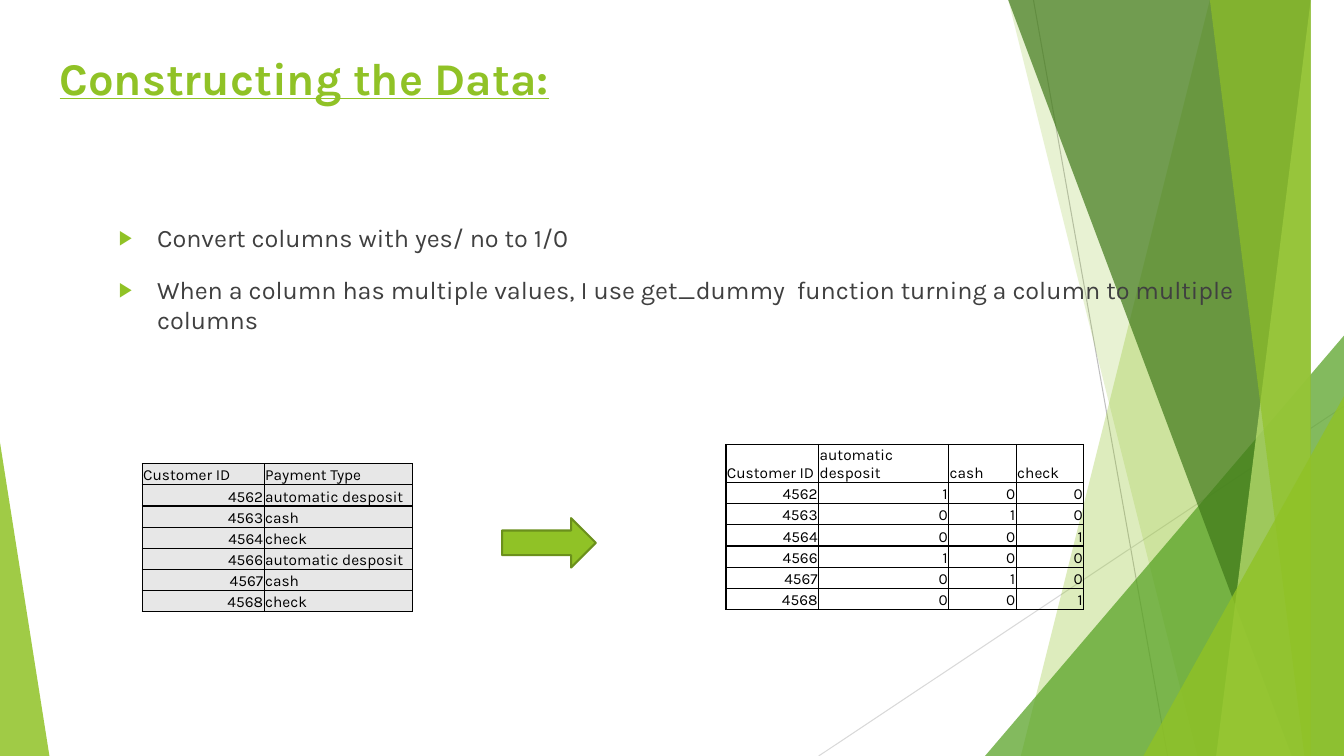
from lxml.etree import SubElement
from pptx import Presentation
from pptx.dml.color import RGBColor
from pptx.enum.shapes import MSO_CONNECTOR, MSO_SHAPE
from pptx.enum.text import MSO_ANCHOR, MSO_AUTO_SIZE, PP_ALIGN
from pptx.oxml import parse_xml
from pptx.oxml.ns import nsdecls, qn
from pptx.util import Inches, Pt

COLORS = {
    "green": "90C226", "leaf": "54A021", "forest": "3F7819", "lime": "C0E474",
    "outline": "6B901C", "text": "404040", "black": "000000", "cell": "E7E7E7",
    "gray": "BFBFBF", "light gray": "D9D9D9",
}
FONT = "Karla"
PAYMENTS = {
    "4562": "automatic desposit", "4563": "cash", "4564": "check",
    "4566": "automatic desposit", "4567": "cash", "4568": "check",
}
PAYMENT_TYPES = ["automatic desposit", "cash", "check"]


def rgb(name):
    """Return the named colour."""
    return RGBColor.from_string(COLORS[name])


def inches(*values):
    """Convert several numbers to lengths."""
    return [Inches(value) for value in values]


def format_runs(paragraph, size, color, bold=False, underline=False):
    """Apply the slide font to every run of a paragraph."""
    for run in paragraph.runs:
        font = run.font
        font.name, font.size = FONT, Pt(size)
        font.bold, font.underline = bold, underline
        font.color.rgb = rgb(color)


def paint_facet(shape, color, opacity):
    """Give a facet a see-through fill and no outline."""
    shape.shadow.inherit = False
    shape.line.fill.background()
    shape.fill.solid()
    shape.fill.fore_color.rgb = rgb(color)
    color_element = shape.fill._xPr.find(qn("a:solidFill"))[0]
    SubElement(color_element, qn("a:alpha")).set("val", str(opacity * 1000))


def add_band(slide, box, top_x, bottom_x, color, opacity):
    """Draw a full-height facet that runs to the right edge of the box."""
    left, top, width, height = box
    right, bottom = left + width, top + height
    builder = slide.shapes.build_freeform(left + top_x, top - 0.01, scale=Inches(1))
    builder.add_line_segments(
        [(right, top - 0.01), (right, bottom), (left + bottom_x, bottom)], close=True)
    paint_facet(builder.convert_to_shape(), color, opacity)


def add_corner(slide, box, offset, width, height, peak, color, opacity):
    """Draw a right-angled facet standing on the bottom of the box."""
    left, top, _, box_height = box
    shape = slide.shapes.add_shape(
        MSO_SHAPE.ISOSCELES_TRIANGLE,
        *inches(left + offset, top + box_height - height, width, height))
    shape.adjustments[0] = peak
    paint_facet(shape, color, opacity)


def add_facets(slide, box):
    """Draw the thin lines and green facets within the box."""
    left, top, width, height = box
    for start, end, color in [((10.25, 0), (11.58, height), "gray"),
                              ((width, 4.03), (8.12, height), "light gray")]:
        line = slide.shapes.add_connector(
            MSO_CONNECTOR.STRAIGHT,
            *inches(left + start[0], top + start[1], left + end[0], top + end[1]))
        line.line.color.rgb = rgb(color)
        line.line.width = Pt(0.75)
        SubElement(line._element.spPr, qn("a:effectLst"))
    add_band(slide, box, 12.28, 10.04, "green", 30)
    add_band(slide, box, 10.5, 11.83, "green", 20)
    add_corner(slide, box, 9.77, 3.56, 4.17, 1, "leaf", 72)
    add_band(slide, box, 10.21, 12.91, "forest", 70)
    add_band(slide, box, 13.03, 11.92, "lime", 70)
    add_band(slide, box, 11.96, 13.18, "green", 65)
    add_corner(slide, box, 11.34, 1.99, 3.57, 1, "green", 80)
    add_corner(slide, box, 0, 0.49, 3.11, 0, "green", 85)


def add_title(slide, box, text):
    """Place and format the title placeholder."""
    title = slide.shapes.title
    title.left, title.top, title.width, title.height = inches(*box)
    frame = title.text_frame
    frame.text = text
    frame.auto_size = MSO_AUTO_SIZE.NONE
    frame.vertical_anchor = MSO_ANCHOR.TOP
    paragraph = frame.paragraphs[0]
    paragraph.alignment = PP_ALIGN.LEFT
    format_runs(paragraph, 32.4, "green", bold=True, underline=True)


def add_bullet(slide, box, text):
    """Add one bulleted statement."""
    frame = slide.shapes.add_textbox(*inches(*box)).text_frame
    frame.word_wrap = True
    frame.text = text
    paragraph = frame.paragraphs[0]
    paragraph.space_before = Pt(10)
    format_runs(paragraph, 18, "text")
    properties = paragraph._p.get_or_add_pPr()
    properties.set("marL", str(Inches(0.38)))
    properties.set("indent", str(Inches(-0.38)))
    bullet_color = SubElement(properties, qn("a:buClr"))
    SubElement(bullet_color, qn("a:srgbClr")).set("val", COLORS["green"])
    SubElement(properties, qn("a:buSzPct")).set("val", "80000")
    SubElement(properties, qn("a:buFont")).set("typeface", "Arial")
    SubElement(properties, qn("a:buChar")).set("char", "▶")


def add_borders(cell):
    """Outline a table cell in black."""
    properties = cell._tc.get_or_add_tcPr()
    for index, side in enumerate(["lnL", "lnR", "lnT", "lnB"]):
        properties.insert(index, parse_xml(
            f'<a:{side} {nsdecls("a")} w="{Pt(1)}"><a:solidFill>'
            f'<a:srgbClr val="{COLORS["black"]}"/></a:solidFill></a:{side}>'))


def add_data_table(slide, box, rows, column_widths, header_height, fill=None):
    """Add a bordered table with numbers aligned to the right."""
    table = slide.shapes.add_table(len(rows), len(rows[0]), *inches(*box)).table
    table.first_row = table.horz_banding = False
    for column, width in zip(table.columns, column_widths):
        column.width = Inches(width)
    for index, row in enumerate(table.rows):
        row.height = Inches(0.21 if index else header_height)
        for cell, value in zip(row.cells, rows[index]):
            cell.text = value
            cell.vertical_anchor = MSO_ANCHOR.BOTTOM
            cell.margin_left = cell.margin_right = cell.margin_top = Inches(0.01)
            cell.margin_bottom = 0
            paragraph = cell.text_frame.paragraphs[0]
            paragraph.alignment = PP_ALIGN.RIGHT if value.isdigit() else PP_ALIGN.LEFT
            format_runs(paragraph, 11, "black")
            if fill:
                cell.fill.solid()
                cell.fill.fore_color.rgb = rgb(fill)
            else:
                cell.fill.background()
            add_borders(cell)


def add_arrow(slide, box):
    """Add the arrow between the two tables."""
    arrow = slide.shapes.add_shape(MSO_SHAPE.RIGHT_ARROW, *inches(*box))
    arrow.shadow.inherit = False
    arrow.fill.solid()
    arrow.fill.fore_color.rgb = rgb("green")
    arrow.line.color.rgb = rgb("outline")
    arrow.line.width = Pt(1.5)


def main():
    """Build and save the presentation."""
    presentation = Presentation()
    presentation.slide_width, presentation.slide_height = inches(13.33, 7.5)
    slide = presentation.slides.add_slide(presentation.slide_layouts[5])
    add_facets(slide, (0, 0, 13.33, 7.5))
    add_title(slide, (0.49, 0.45, 5.93, 0.58), "Constructing the Data:")
    statements = [
        "Convert columns with yes/ no to 1/0",
        "When a column has multiple values, I use get_dummy  function "
        "turning a column to multiple columns",
    ]
    for index, statement in enumerate(statements):
        add_bullet(slide, (1.08, 2.16 + 0.51 * index, 11.33, 0.61), statement)
    payment_rows = [["Customer ID", "Payment Type"], *map(list, PAYMENTS.items())]
    dummy_rows = [["Customer ID", *PAYMENT_TYPES]]
    for customer, payment in PAYMENTS.items():
        dummy_rows.append([customer, *(str(int(payment == kind)) for kind in PAYMENT_TYPES)])
    add_data_table(slide, (1.41, 4.6, 2.68, 1.46), payment_rows, [1.21, 1.47], 0.21, "cell")
    add_arrow(slide, (4.98, 5.14, 0.93, 0.49))
    add_data_table(slide, (7.2, 4.41, 3.54, 1.63), dummy_rows, [0.92, 1.29, 0.67, 0.67], 0.37)
    presentation.save("out.pptx")


if __name__ == "__main__":
    main()
